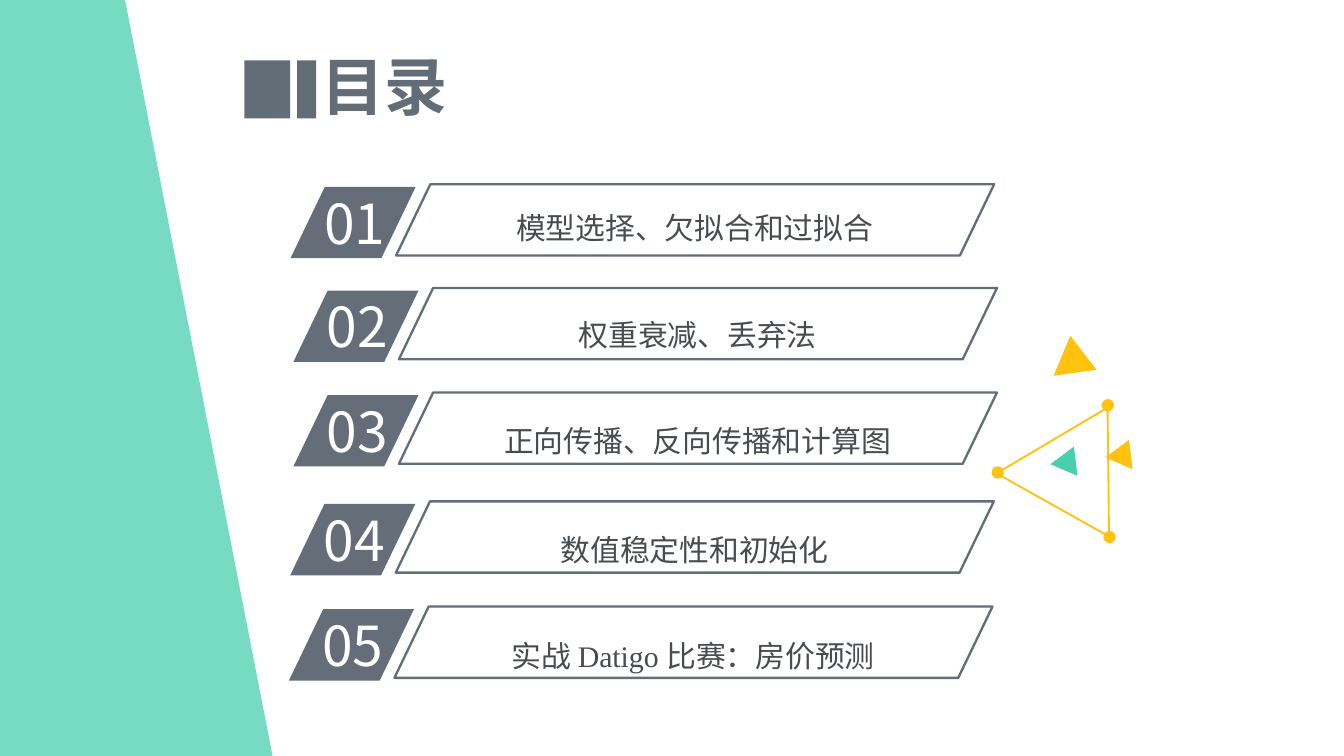
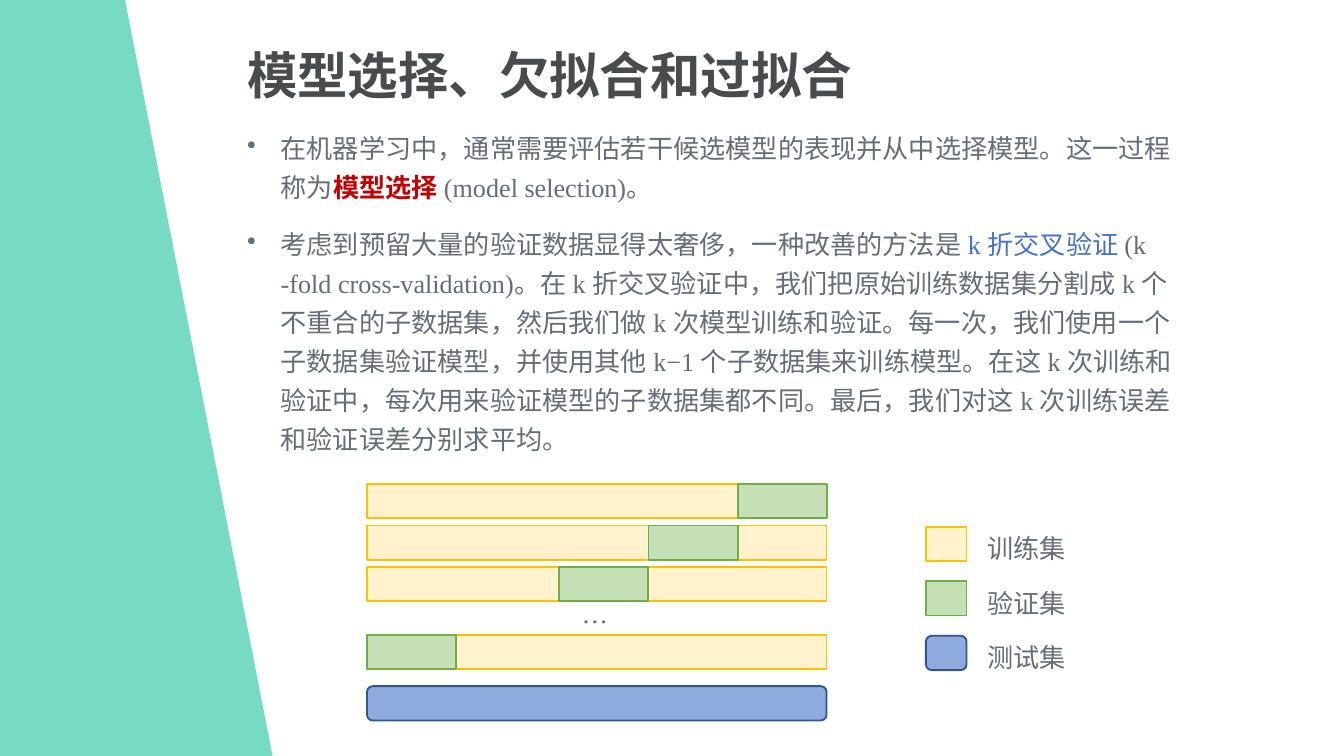
from lxml import etree
from pptx import Presentation
from pptx.dml.color import RGBColor
from pptx.enum.shapes import MSO_SHAPE
from pptx.enum.text import MSO_ANCHOR, MSO_AUTO_SIZE, PP_ALIGN
from pptx.oxml.ns import qn
from pptx.util import Pt

RECT, ROUND = MSO_SHAPE.RECTANGLE, MSO_SHAPE.ROUNDED_RECTANGLE
SLANT, DOT = MSO_SHAPE.PARALLELOGRAM, MSO_SHAPE.OVAL
TRI = MSO_SHAPE.ISOSCELES_TRIANGLE
TOP, MID = MSO_ANCHOR.TOP, MSO_ANCHOR.MIDDLE
LEFT, MIDDLE = PP_ALIGN.LEFT, PP_ALIGN.CENTER
GROW = MSO_AUTO_SIZE.SHAPE_TO_FIT_TEXT
SANS, SERIF = "Noto Sans CJK SC", "Times New Roman"

HUE = {
    "band": "49CFAE", "mint": "48CFAE", "gold": "FFC20F", "white": "FFFFFF",
    "head": "636D78", "slate": "646D78", "ink": "494C4F",
    "red": "C00000", "blue": "4472C4",
    "train": "FFF2CC", "train_edge": "FFC000",
    "valid": "C5E0B4", "valid_edge": "70AD47",
    "test": "8FAADC", "test_edge": "325491",
}


def draw(page, kind, box, fill=None, line=None, wide=1, turn=0, adj=None):
    shape = page.shapes.add_shape(kind, *[Pt(v) for v in box])
    shape.shadow.inherit = False
    shape.rotation = turn
    if adj is not None:
        shape.adjustments[0] = adj
    if fill:
        shape.fill.solid()
        shape.fill.fore_color.rgb = RGBColor.from_string(HUE[fill])
    else:
        shape.fill.background()
    if line:
        shape.line.color.rgb = RGBColor.from_string(HUE[line])
        shape.line.width = Pt(wide)
    else:
        shape.line.fill.background()


def write(page, box, paras, size, face=SERIF, align=LEFT, anchor=TOP,
          space=None, gap=0, inset=(7.2, 3.6), grow=False, bullet=False):
    """Each paragraph is a list of (text, colour, bold) runs."""
    frame = page.shapes.add_textbox(*[Pt(v) for v in box]).text_frame
    frame.word_wrap = True
    frame.vertical_anchor = anchor
    frame.margin_left = frame.margin_right = Pt(inset[0])
    frame.margin_top = frame.margin_bottom = Pt(inset[1])
    if grow:
        frame.auto_size = GROW
    for i, runs in enumerate(paras):
        para = frame.add_paragraph() if i else frame.paragraphs[0]
        if bullet:
            props = para._p.get_or_add_pPr()
            props.set("marL", str(Pt(18)))
            props.set("indent", str(-Pt(18)))
            etree.SubElement(props, qn("a:buChar")).set("char", "•")
        para.alignment = align
        if space:
            para.line_spacing = space
        if i:
            para.space_before = Pt(gap)
        for words, hue, bold in runs:
            run = para.add_run()
            run.text = words
            font = run.font
            font.name, font.size, font.bold = face, Pt(size), bold
            font.color.rgb = RGBColor.from_string(HUE[hue])
            asian = etree.SubElement(run._r.get_or_add_rPr(), qn("a:ea"))
            asian.set("typeface", SANS)


deck = Presentation()
deck.slide_width, deck.slide_height = Pt(720), Pt(405)

# Both slides carry the slanted band
pages = []
for _ in range(2):
    page = deck.slides.add_slide(deck.slide_layouts[6])
    path = page.shapes.build_freeform(0, 0, scale=Pt(1))
    path.add_line_segments([(67, 0), (146, 405), (0, 405)], close=True)
    band = path.convert_to_shape()
    band.shadow.inherit = False
    band.line.fill.background()
    band.fill.solid()
    band.fill.fore_color.rgb = RGBColor.from_string(HUE["band"])
    tint = band._element.spPr.find(".//" + qn("a:srgbClr"))
    etree.SubElement(tint, qn("a:alpha")).set("val", "75000")
    pages.append(page)
menu, topic = pages

# Contents: heading
draw(menu, RECT, (131, 32.4, 24.5, 31), "head")
draw(menu, RECT, (159.2, 32.4, 10.2, 31), "head")
write(menu, (112.3, 25.2, 187.2, 41), [[("目录", "head", True)]], 33.8,
      SANS, MIDDLE, MID)

# Contents: triangles and dots
for box, turn, hue in [((560.9, 185, 23, 20.2), 232.4, "gold"),
                       ((565.2, 242.6, 15.8, 13.7), 143.3, "mint"),
                       ((594.7, 239, 15.8, 13.7), 143.3, "gold")]:
    draw(menu, TRI, box, hue, turn=turn)
draw(menu, TRI, (544.3, 231.8, 69.1, 59.8), line="gold", turn=149.3)
for x, y in [(590.2, 213.8), (591.1, 284.4), (531.2, 249.8)]:
    draw(menu, DOT, (x, y, 6.6, 6.6), "gold")

# Contents: left, top, drop of the label, face, label
rows = [
    (155.7, 100.1, 0, SERIF, "模型选择、欠拟合和过拟合"),
    (157.2, 155.7, 1.4, SERIF, "权重衰减、丢弃法"),
    (157.2, 211.7, 2.2, SERIF, "正向传播、反向传播和计算图"),
    (155.5, 270, 2.2, SANS, "数值稳定性和初始化"),
    (154.8, 326.4, 2.6, SERIF, "实战 Datigo 比赛：房价预测"),
]
for n, (x, y, drop, face, label) in enumerate(rows, 1):
    draw(menu, SLANT, (x, y, 67, 38.2), "slate", adj=0.48)
    write(menu, (x + 10.8, y - 2.4, 63.4, 43.2),
          [[(f"{n:02}", "white", False)]], 29.5, SANS, grow=True)
    write(menu, (x + 64.3, y + drop, 304.6, 31), [[(label, "ink", False)]],
          16, face, MIDDLE, space=1.5, inset=(5.8, 2.9), grow=True)
    draw(menu, SLANT, (x + 56.5, y - 1.4, 320.4, 38.2), line="slate",
         wide=1.25, adj=0.48)

# Topic: title and body
write(topic, (125.3, 24.5, 387.4, 34.6),
      [[("模型选择、欠拟合和过拟合", "ink", True)]], 27, SANS,
      anchor=MID, space=0.9)
body = [
    [("在机器学习中，通常需要评估若干候选模型的表现并从中选择模型。"
      "这一过程称为", "slate", False),
     ("模型选择 ", "red", True),
     ("(model selection)。", "slate", False)],
    [("考虑到预留大量的验证数据显得太奢侈，一种改善的方法是 ", "slate", False),
     ("k 折交叉验证 ", "blue", False),
     ("(k -fold cross-validation)。在 k 折交叉验证中，我们把原始训练数据集"
      "分割成 k 个不重合的子数据集，然后我们做 k 次模型训练和验证。每一次，"
      "我们使用一个子数据集验证模型，并使用其他 k−1 个子数据集来训练模型。"
      "在这 k 次训练和验证中，每次用来验证模型的子数据集都不同。最后，"
      "我们对这 k 次训练误差和验证误差分别求平均。", "slate", False)],
]
write(topic, (125.3, 63.4, 520.6, 329), body, 14, space=Pt(20.8), gap=10,
      bullet=True)

# Topic: folds, with the validation part moving left
left, full, part, high = 196.6, 246.2, 47.8, 18.4
for y, start, train in [(259.2, 198.6, 198.6), (281.5, 150.8, full),
                        (303.8, 103, full), (340.2, 0, full)]:
    draw(topic, ROUND, (left, y, train, high), "train", "train_edge", adj=0)
    draw(topic, ROUND, (left + start, y, part, high), "valid", "valid_edge",
         adj=0)
draw(topic, ROUND, (left, 367.6, full, high), "test", "test_edge")
write(topic, (304.6, 312.5, 74.2, 26.6), [[("…", "slate", False)]], 14,
      space=Pt(20.8))

# Topic: legend
for i, (hue, label, adj) in enumerate([("train", "训练集", 0),
                                       ("valid", "验证集", 0),
                                       ("test", "测试集", None)]):
    y = 282.2 + 29.2 * i
    draw(topic, ROUND, (496, y, 21.8, high), hue, hue + "_edge", adj=adj)
    write(topic, (522, y - 4.3, 74.2, 26.6), [[(label, "slate", False)]], 14,
          space=Pt(20.8))

deck.save("out.pptx")
